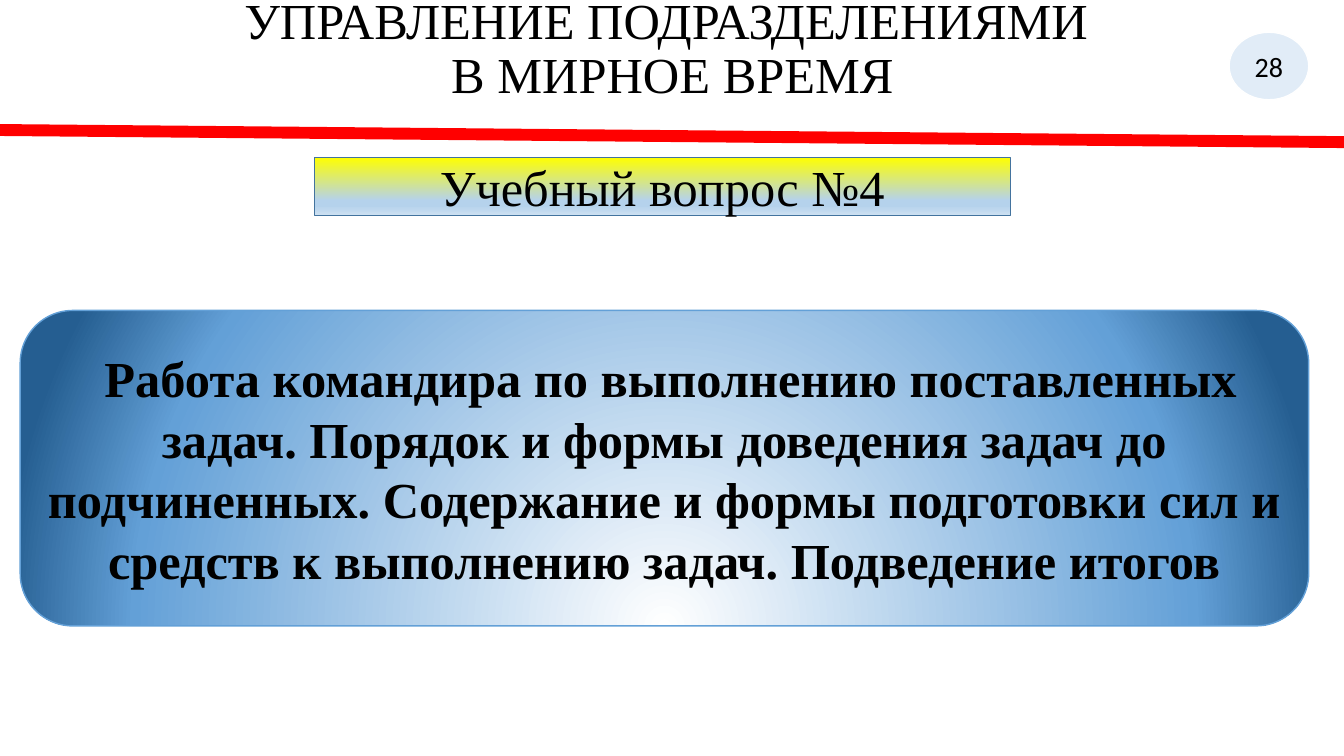
from lxml import etree
from pptx import Presentation
from pptx import util as u
from pptx.dml.color import RGBColor
from pptx.enum import shapes, text
from pptx.oxml.ns import qn

BLACK = RGBColor(0x00, 0x00, 0x00)
WHITE = RGBColor(0xFF, 0xFF, 0xFF)
RED = RGBColor(0xFF, 0x00, 0x00)
BLUE = RGBColor(0x5B, 0x9B, 0xD5)
DARK_BLUE = RGBColor(0x43, 0x73, 0x9E)
EDGE_BLUE = RGBColor(0x63, 0xA0, 0xD7)
YELLOW = RGBColor(0xFF, 0xFF, 0x00)
PALE_BLUE = RGBColor(0xB5, 0xD2, 0xEC)
ICE_BLUE = RGBColor(0xCE, 0xE1, 0xF2)
DEEP_BLUE = RGBColor(0x25, 0x5E, 0x91)

deck = Presentation()
deck.slide_width, deck.slide_height = u.Inches(13.33), u.Inches(7.5)
page = deck.slides.add_slide(deck.slide_layouts[6])


def write(box, words, size=36, font="Times New Roman", bold=False, spacing=1.0):
    frame = box.text_frame
    frame.word_wrap = True
    frame.vertical_anchor = text.MSO_ANCHOR.MIDDLE
    para = frame.paragraphs[0]
    para.text = words
    para.alignment = text.PP_ALIGN.CENTER
    para.line_spacing = spacing
    for span in para.runs:
        span.font.name, span.font.size = font, u.Pt(size)
        span.font.bold, span.font.color.rgb = bold, BLACK


def paint_gradient(shape, stops, direction):
    """Fill a shape with (percent, colour) stops and a direction element."""
    shape.fill.gradient()
    gradient = shape._element.spPr.find(qn("a:gradFill"))
    for child in list(gradient):
        gradient.remove(child)
    stop_list = etree.SubElement(gradient, qn("a:gsLst"))
    for percent, colour in stops:
        stop = etree.SubElement(stop_list, qn("a:gs"), pos=str(percent * 1000))
        etree.SubElement(stop, qn("a:srgbClr"), val=str(colour))
    gradient.append(direction)


# Title
title = page.shapes.add_textbox(u.Inches(0.92), 0, u.Inches(11.5), u.Inches(1))
write(title, "УПРАВЛЕНИЕ ПОДРАЗДЕЛЕНИЯМИ \vВ МИРНОЕ ВРЕМЯ", spacing=0.9)

# Red rule across the page
rule = page.shapes.add_connector(
    shapes.MSO_CONNECTOR.STRAIGHT, 0, u.Inches(1.29), deck.slide_width, u.Inches(1.41))
rule.line.color.rgb, rule.line.width = RED, u.Pt(8.5)
etree.SubElement(rule._element.spPr, qn("a:effectLst"))

# Page number, question banner and topic panel
KINDS = shapes.MSO_SHAPE
number, banner, panel = [
    page.shapes.add_shape(kind, *[u.Inches(length) for length in place])
    for kind, place in (
        (KINDS.OVAL, (12.19, 0.32, 0.79, 0.67)),
        (KINDS.RECTANGLE, (3.12, 1.56, 6.9, 0.58)),
        (KINDS.ROUNDED_RECTANGLE, (0.2, 3.08, 12.78, 3.13)),
    )
]
for shape, edge in ((number, WHITE), (banner, DARK_BLUE), (panel, EDGE_BLUE)):
    shape.shadow.inherit = False
    shape.line.color.rgb, shape.line.width = edge, u.Pt(1)

number.fill.solid()
number.fill.fore_color.rgb = BLUE
tint = number._element.spPr.find(qn("a:solidFill"))[0]
etree.SubElement(tint, qn("a:alpha"), val="18000")
write(number, "28", size=20, font="Calibri")

downward = etree.Element(qn("a:lin"), ang="5400000", scaled="0")
paint_gradient(banner, [(0, YELLOW), (74, PALE_BLUE), (83, PALE_BLUE), (100, ICE_BLUE)], downward)
write(banner, "Учебный вопрос №4")

radial = etree.Element(qn("a:path"), path="circle")
etree.SubElement(radial, qn("a:fillToRect"), l="50000", t="130000", r="50000", b="-30000")
paint_gradient(panel, [(0, WHITE), (80, EDGE_BLUE), (100, DEEP_BLUE)], radial)
write(panel, " Работа командира по выполнению поставленных задач. Порядок и формы доведения "
             "задач до подчиненных. Содержание и формы подготовки сил и средств к выполнению "
             "задач. Подведение итогов", bold=True)

deck.save("out.pptx")
